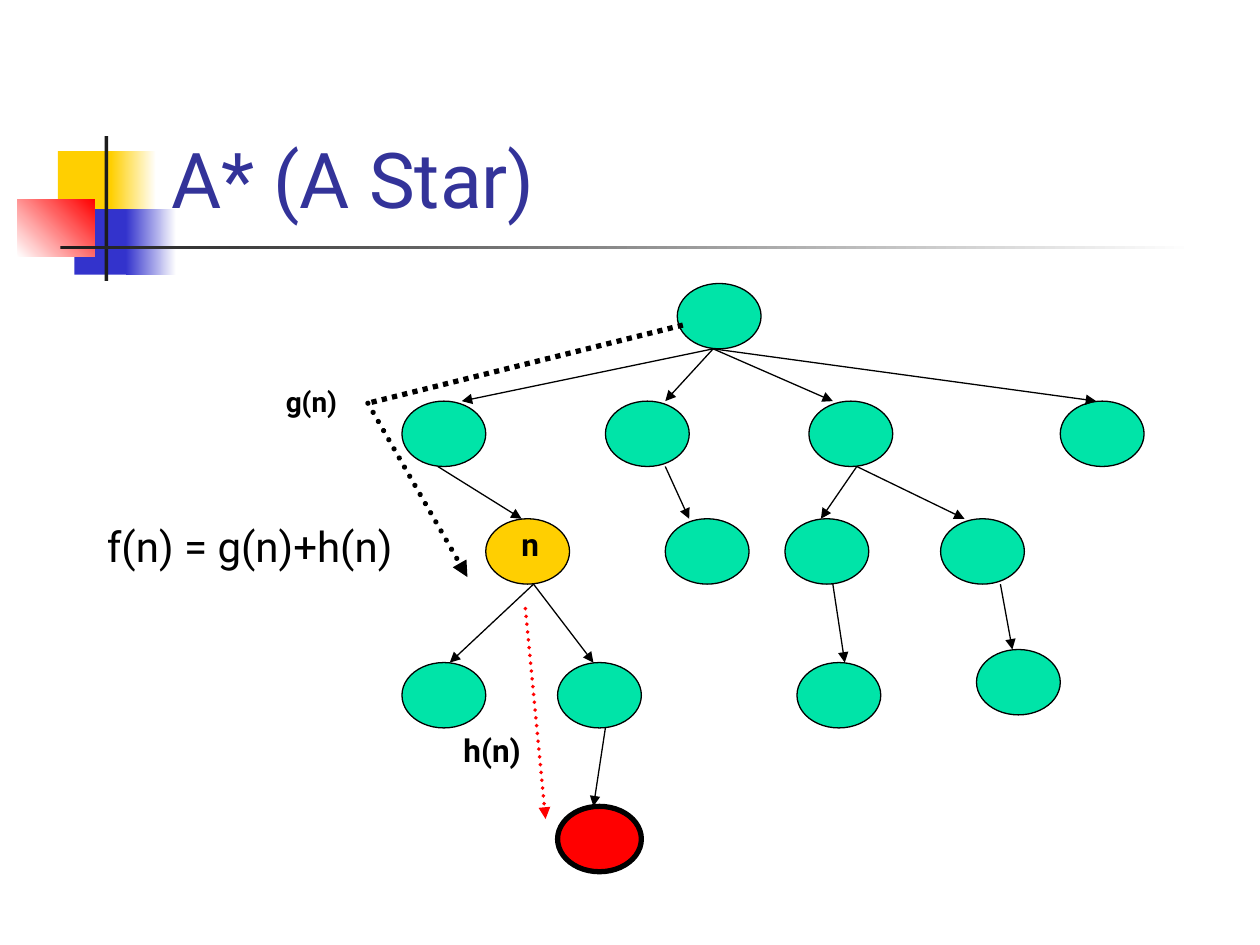
from lxml.etree import SubElement
from pptx import Presentation
from pptx.dml.color import RGBColor
from pptx.enum.dml import MSO_LINE
from pptx.enum.shapes import MSO_CONNECTOR, MSO_SHAPE
from pptx.enum.text import MSO_ANCHOR, MSO_AUTO_SIZE
from pptx.oxml.ns import qn
from pptx.util import Inches, Pt

COLORS = {
    "node": "00E4A8", "yellow": "FFCF01", "blue": "3333CC", "red": "FF0000",
    "dark": "1C1C1C", "black": "000000", "white": "FFFFFF", "title": "333399",
}
FONT = "Roboto"

# Tree grid: a node is 7 columns wide and 5 rows high
LEFT, TOP = 3.19, 2.25
COL, ROW = 0.76 / 8, 0.83 / 8
NODE_W, NODE_H = 7, 5

# Nodes as {row: columns}
NODES = {0: [23], 9: [0, 17, 55, 34], 18: [22, 32, 45], 28: [48], 29: [0, 13, 33]}
CURRENT, GOAL = (7, 18), (13, 40)

# Edges as (start column, start row): [(end column, end row), ...]
EDGES = {
    (26, 5): [(5, 9), (22, 9), (36, 9), (58, 9)],
    (3, 14): [(10, 18)],
    (22, 14): [(24, 18)],
    (38, 14): [(35, 18), (47, 18)],
    (11, 23): [(4, 29), (16, 29)],
    (36, 23): [(37, 29)],
    (50, 23): [(51, 28)],
    (17, 34): [(16, 40)],
}


def rgb(name):
    return RGBColor.from_string(COLORS[name])


def grid(col, row):
    return LEFT + col * COL, TOP + row * ROW


def add_bar(slide, box, start, end=None, angle=0):
    """Borderless rectangle, solid or fading from start to end."""
    sp = slide.shapes.add_shape(MSO_SHAPE.RECTANGLE, *map(Inches, box))
    sp.shadow.inherit = False
    sp.line.fill.background()
    if end is None:
        sp.fill.solid()
        sp.fill.fore_color.rgb = rgb(start)
        return
    sp.fill.gradient()
    sp.fill.gradient_angle = angle
    for stop, color in zip(sp.fill.gradient_stops, (start, end)):
        stop.color.rgb = rgb(color)


def add_node(slide, col, row, color="node", width=0.75):
    x, y = grid(col, row)
    sp = slide.shapes.add_shape(MSO_SHAPE.OVAL, Inches(x), Inches(y),
                                Inches(NODE_W * COL), Inches(NODE_H * ROW))
    sp.shadow.inherit = False
    sp.fill.solid()
    sp.fill.fore_color.rgb = rgb(color)
    sp.line.color.rgb = rgb("black")
    sp.line.width = Pt(width)


def add_line(slide, start, end, color="black", width=0.75,
             dotted=False, rounded=False, arrow=True):
    cxn = slide.shapes.add_connector(MSO_CONNECTOR.STRAIGHT,
                                     *map(Inches, (*start, *end)))
    cxn.line.color.rgb = rgb(color)
    cxn.line.width = Pt(width)
    if dotted:
        cxn.line.dash_style = MSO_LINE.ROUND_DOT
    ln = cxn.line._get_or_add_ln()
    if rounded:
        ln.set("cap", "rnd")
    if arrow:
        SubElement(ln, qn("a:tailEnd"), type="triangle")
    SubElement(cxn._element.spPr, qn("a:effectLst"))


def add_text(slide, text, box, size, color="black", bold=False, before=0,
             anchor=MSO_ANCHOR.TOP, fit=MSO_AUTO_SIZE.SHAPE_TO_FIT_TEXT):
    tf = slide.shapes.add_textbox(*map(Inches, box)).text_frame
    tf.word_wrap = True
    tf.auto_size = fit
    tf.vertical_anchor = anchor
    p = tf.paragraphs[0]
    p.space_before = Pt(before)
    r = p.add_run()
    r.text = text
    r.font.name = FONT
    r.font.size = Pt(size)
    r.font.bold = bold
    r.font.color.rgb = rgb(color)


def add_decoration(slide):
    add_bar(slide, (0.46, 1.2, 0.48, 0.52), "yellow")
    add_bar(slide, (0.88, 1.2, 0.36, 0.52), "yellow", "white")
    add_bar(slide, (0.59, 1.66, 0.46, 0.52), "blue")
    add_bar(slide, (1, 1.66, 0.4, 0.52), "blue", "white")
    add_bar(slide, (0.14, 1.58, 0.61, 0.46), "white", "red", angle=45)
    add_bar(slide, (0.83, 1.08, 0.03, 1.15), "dark")
    add_bar(slide, (0.48, 1.95, 9, 0.03), "dark", "white")


def add_tree(slide):
    for row, cols in NODES.items():
        for col in cols:
            add_node(slide, col, row)
    add_node(slide, *CURRENT, color="yellow")
    add_node(slide, *GOAL, color="red", width=3)
    for start, ends in EDGES.items():
        for end in ends:
            add_line(slide, grid(*start), grid(*end))


def add_costs(slide):
    # Path already travelled, g(n), and estimate to the goal, h(n)
    bend = (2.92, 3.2)
    add_line(slide, (5.42, 2.58), bend, width=3, dotted=True, arrow=False)
    add_line(slide, bend, (3.71, 4.58), width=3, dotted=True, rounded=True)
    add_line(slide, (4.17, 4.83), (4.33, 6.5), color="red", width=2.25,
             dotted=True, rounded=True)
    add_text(slide, "n", (4.04, 4.12, 0.47, 0.4), 18, bold=True, before=11.2)
    add_text(slide, "g(n)", (2.17, 3, 1, 0.37), 16, bold=True, before=10)
    add_text(slide, "h(n)", (3.58, 5.75, 1, 0.4), 18, bold=True, before=11.2)
    add_text(slide, "f(n) = g(n)+h(n)", (0.75, 4.08, 2.92, 0.5), 24, before=15)


def main():
    prs = Presentation()
    prs.slide_width, prs.slide_height = Inches(10), Inches(7.5)
    slide = prs.slides.add_slide(prs.slide_layouts[6])
    add_decoration(slide)
    add_text(slide, "A* (A Star)", (1.26, 0.23, 8.52, 1.6), 44, color="title",
             anchor=MSO_ANCHOR.BOTTOM, fit=MSO_AUTO_SIZE.NONE)
    add_tree(slide)
    add_costs(slide)
    prs.save("out.pptx")


if __name__ == "__main__":
    main()
